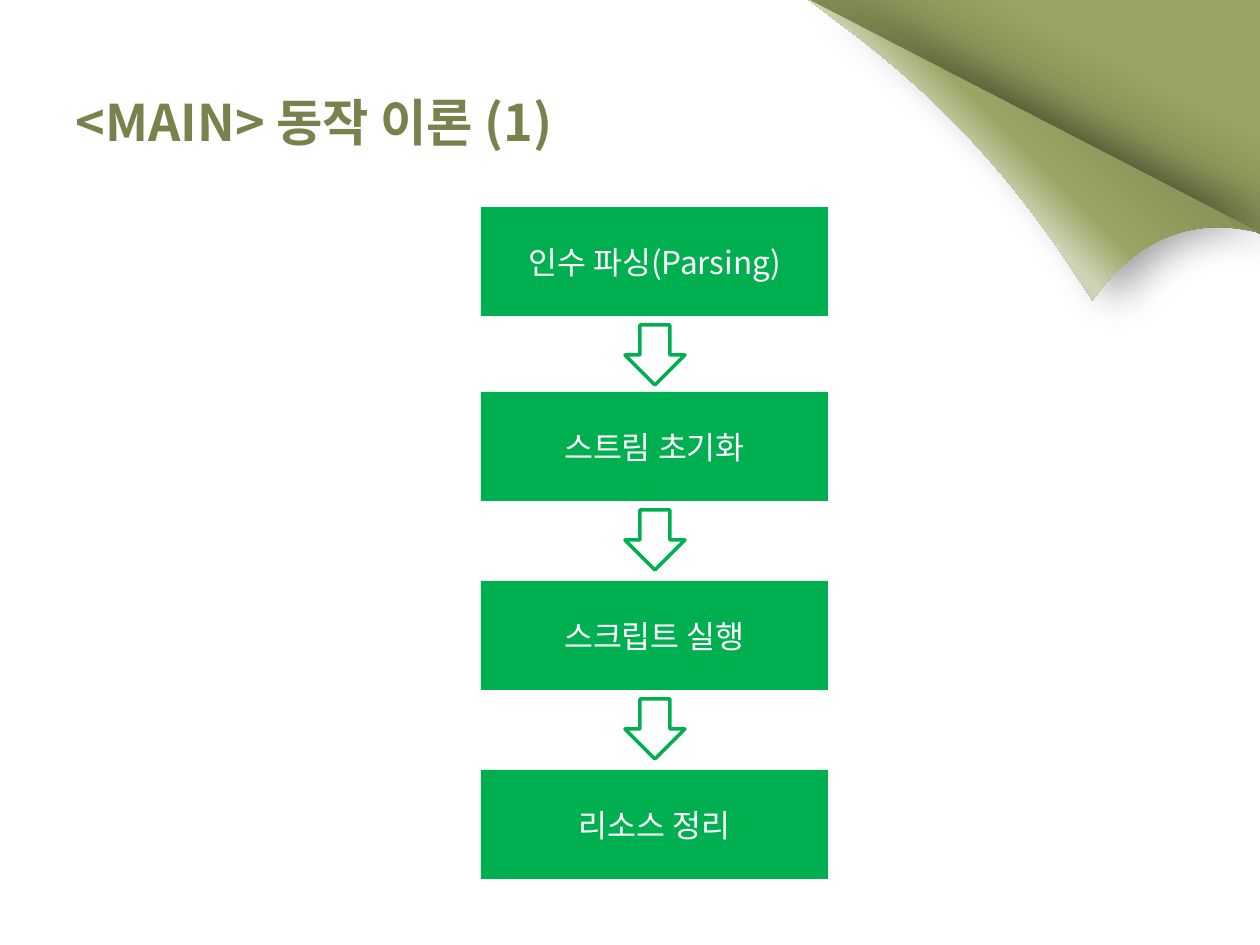
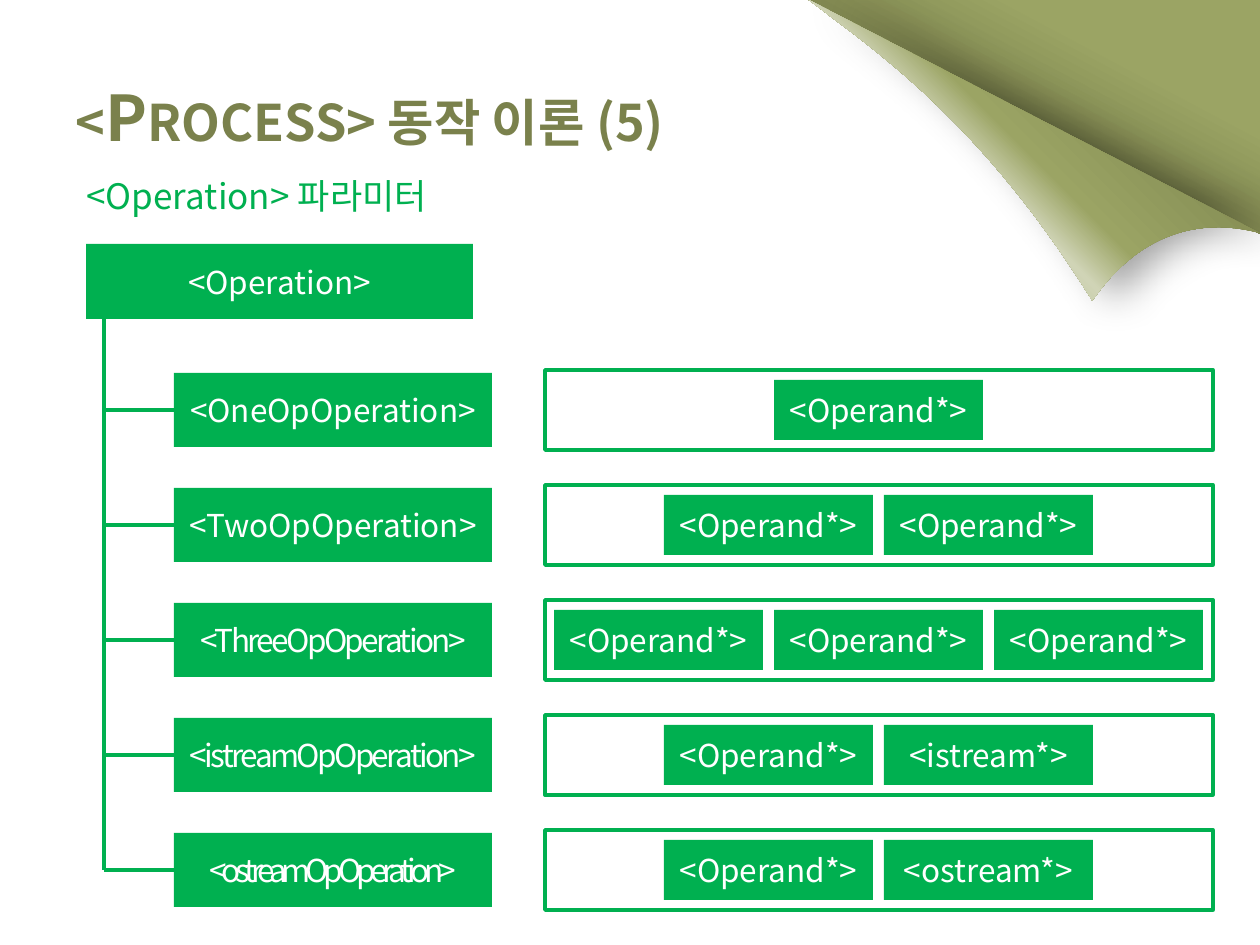
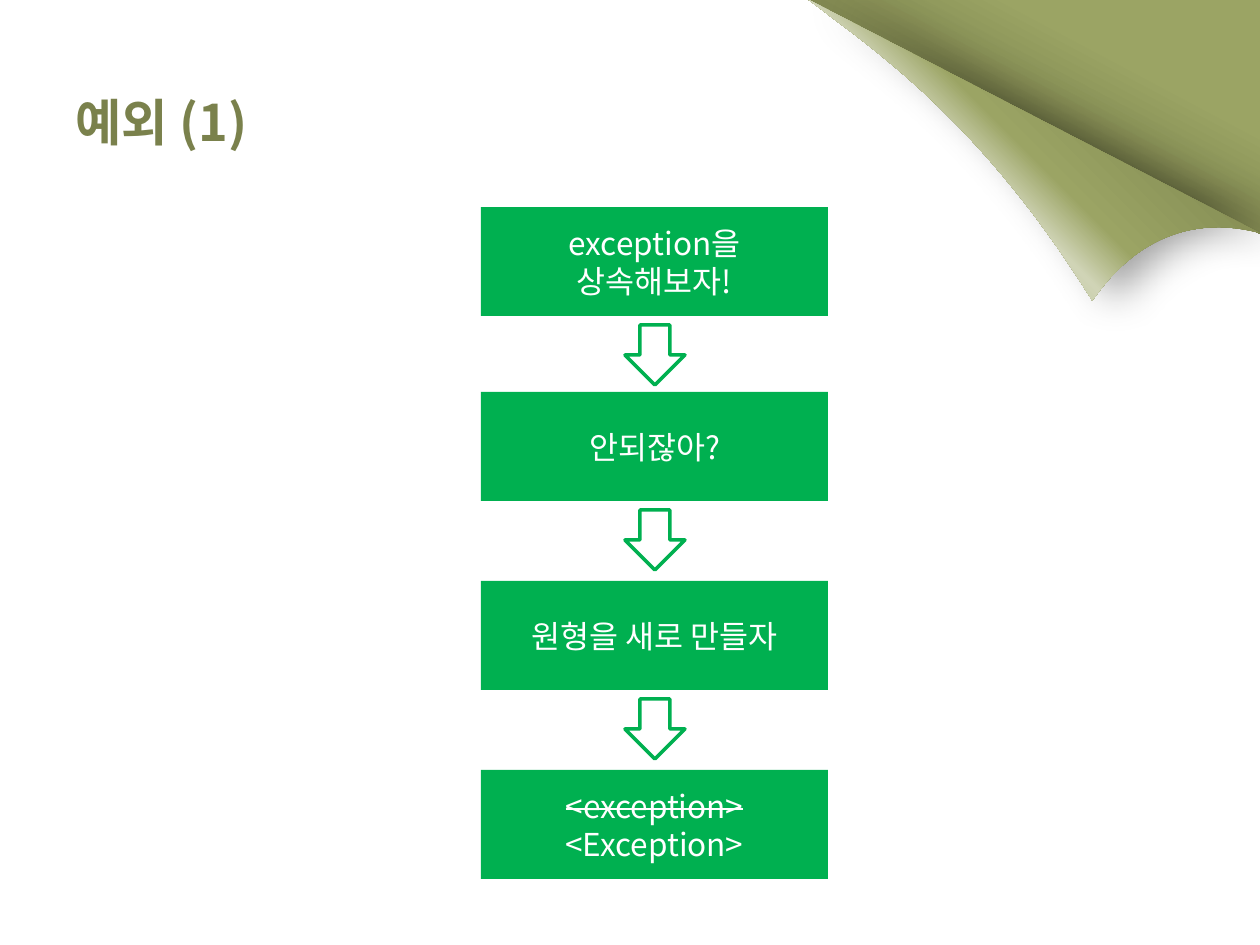
import lxml.etree
import pptx
import pptx.dml.color
import pptx.enum.shapes
import pptx.enum.text
import pptx.oxml.ns
import pptx.util

EMU_PER_PX = 914400 / 126
FONT = "Noto Sans CJK KR"
GREEN = "00B050"
WHITE = "FFFFFF"
OLIVE = "9BA464"
DARK_OLIVE = "7A814C"
PALE_OLIVE = "D0D4B6"

SHAPES = pptx.enum.shapes.MSO_SHAPE
ALIGN = pptx.enum.text.PP_ALIGN
ANCHOR = pptx.enum.text.MSO_ANCHOR
TITLE_ONLY_LAYOUT = 5


def px(length):
    return pptx.util.Emu(round(length * EMU_PER_PX))


def color(hex_string):
    return pptx.dml.color.RGBColor.from_string(hex_string)


def add_xml(parent, tag, **attributes):
    element = lxml.etree.SubElement(parent, pptx.oxml.ns.qn(tag))
    for name, value in attributes.items():
        element.set(name, str(value))
    return element


def add_run(paragraph, text, size, hex_string, bold=False, **attributes):
    """Add a run; attributes go to its properties (cap, spc, strike)."""
    run = paragraph.add_run()
    run.text = text
    run.font.size = pptx.util.Pt(size)
    run.font.bold = bold
    run.font.color.rgb = color(hex_string)
    run.font.name = FONT
    properties = run._r.get_or_add_rPr()
    add_xml(properties, "a:ea", typeface=FONT)
    for name, value in attributes.items():
        properties.set(name, str(value))


# Shared slide parts

def set_gradient(shape, stops, clockwise_angle):
    shape.fill.gradient()
    shape.fill.gradient_angle = (360 - clockwise_angle) % 360
    stop_list = shape.element.spPr.find(".//" + pptx.oxml.ns.qn("a:gsLst"))
    for old_stop in list(stop_list):
        stop_list.remove(old_stop)
    for percent, hex_string in stops:
        stop = add_xml(stop_list, "a:gs", pos=percent * 1000)
        add_xml(stop, "a:srgbClr", val=hex_string)


def add_soft_shadow(shape):
    effects = shape.element.spPr.find(pptx.oxml.ns.qn("a:effectLst"))
    shadow = add_xml(effects, "a:outerShdw", blurRad=pptx.util.Pt(24),
                     dist=pptx.util.Pt(13), dir=0, algn="ctr", rotWithShape=0)
    shade = add_xml(shadow, "a:srgbClr", val="000000")
    add_xml(shade, "a:alpha", val=39000)


def curve_points(start, control_1, control_2, end, steps=40):
    """Points along a cubic curve, without its start."""
    points = []
    for step in range(1, steps + 1):
        t = step / steps
        weights = ((1 - t) ** 3, 3 * t * (1 - t) ** 2, 3 * t * t * (1 - t), t ** 3)
        corners = (start, control_1, control_2, end)
        points.append(tuple(
            px(sum(weight * corner[axis] for weight, corner in zip(weights, corners)))
            for axis in (0, 1)))
    return points


def add_page_curl(slide):
    backing = slide.shapes.add_shape(
        SHAPES.RIGHT_TRIANGLE, px(809), 0, px(451), px(234))
    backing.rotation = 180
    set_gradient(backing, [(0, OLIVE), (28, OLIVE), (57, DARK_OLIVE),
                           (86, DARK_OLIVE), (100, DARK_OLIVE)], 298)

    tip, fold_left, fold_right = (1092, 300), (809, 0), (1260, 233)
    builder = slide.shapes.build_freeform(px(tip[0]), px(tip[1]))
    builder.add_line_segments(
        curve_points(tip, (979, 118), (871, 48), fold_left)
        + [(px(fold_right[0]), px(fold_right[1]))]
        + curve_points(fold_right, (1144, 202), (1092, 306), tip), close=True)
    flap = builder.convert_to_shape()
    set_gradient(flap, [(0, DARK_OLIVE), (16, DARK_OLIVE), (51, OLIVE),
                        (60, PALE_OLIVE), (90, OLIVE), (100, DARK_OLIVE)], 135)
    for shape in (backing, flap):
        shape.line.fill.background()
        shape.shadow.inherit = False
    add_soft_shadow(flap)


def add_titled_slide(presentation, title_text):
    slide = presentation.slides.add_slide(
        presentation.slide_layouts[TITLE_ONLY_LAYOUT])
    add_page_curl(slide)
    title = slide.shapes.title
    title.left, title.top, title.width, title.height = px(63), px(38), px(864), px(157)
    frame = title.text_frame
    frame.auto_size = pptx.enum.text.MSO_AUTO_SIZE.NONE
    frame.vertical_anchor = ANCHOR.MIDDLE
    paragraph = frame.paragraphs[0]
    paragraph.alignment = ALIGN.LEFT
    add_run(paragraph, title_text, 36, DARK_OLIVE, bold=True, cap="small")
    return slide


# Diagram elements

def add_box(slide, left, top, width, height, lines, **attributes):
    """Add a green box; each line is a text or a (text, run attributes) pair."""
    box = slide.shapes.add_shape(
        SHAPES.RECTANGLE, px(left), px(top), px(width), px(height))
    box.shadow.inherit = False
    box.fill.solid()
    box.fill.fore_color.rgb = color(GREEN)
    box.line.fill.background()
    frame = box.text_frame
    frame.word_wrap = True
    frame.vertical_anchor = ANCHOR.MIDDLE
    for index, line in enumerate(lines):
        text, line_attributes = (line, attributes) if isinstance(line, str) else line
        paragraph = frame.add_paragraph() if index else frame.paragraphs[0]
        paragraph.alignment = ALIGN.CENTER
        add_run(paragraph, text, 18, WHITE, **line_attributes)
    return box


def add_outline(slide, preset, left, top, width, height):
    outline = slide.shapes.add_shape(preset, px(left), px(top), px(width), px(height))
    outline.shadow.inherit = False
    outline.fill.background()
    outline.line.color.rgb = color(GREEN)
    outline.line.width = pptx.util.Pt(2)


def add_line(slide, start_x, start_y, end_x, end_y):
    line = slide.shapes.add_connector(
        pptx.enum.shapes.MSO_CONNECTOR.STRAIGHT,
        px(start_x), px(start_y), px(end_x), px(end_y))
    line.line.color.rgb = color(GREEN)
    line.line.width = pptx.util.Pt(2.25)
    add_xml(line.element.spPr, "a:effectLst")
    return line


def add_subtitle(slide, text):
    box = slide.shapes.add_textbox(px(74), px(168), px(387), px(55))
    box.text_frame.word_wrap = True
    add_run(box.text_frame.paragraphs[0], text, 20, GREEN)


def add_flow(slide, steps):
    """Stack four steps with an arrow after each but the last."""
    tops = (207, 392, 581, 770)
    for top, lines in zip(tops, steps):
        add_box(slide, 481, top, 347, 109, lines)
        if top != tops[-1]:
            add_outline(slide, SHAPES.DOWN_ARROW, 625, top + 118, 60, 60)


def add_operation_tree(slide, root_name, operations):
    """Draw the root, its operations and the parameters of each."""
    trunk_x, first_top, pitch, row_height = 104, 373, 115, 74
    frame_left, frame_width = 545, 668
    operand_width, operand_gap = 209, 11
    add_box(slide, 86, 244, 387, 75, [root_name])
    last_middle = first_top + (len(operations) - 1) * pitch + row_height // 2
    add_line(slide, trunk_x, 319, trunk_x, last_middle)

    for row, (name, spacing, parameters) in enumerate(operations):
        top = first_top + row * pitch
        middle = top + row_height // 2
        box = add_box(slide, 174, top, 318, row_height, [name], spc=spacing)
        branch = add_line(slide, 174, middle, trunk_x, middle)
        branch.begin_connect(box, 1)

        add_outline(slide, SHAPES.RECTANGLE, frame_left, top - 3, frame_width, 80)
        operand_pitch = operand_width + operand_gap
        group_width = len(parameters) * operand_pitch - operand_gap
        group_left = frame_left + (frame_width - group_width) // 2
        for column, parameter in enumerate(parameters):
            add_box(slide, group_left + column * operand_pitch, top + 7,
                    operand_width, 60, [parameter])


def main():
    presentation = pptx.Presentation()
    presentation.slide_width = px(1260)
    presentation.slide_height = px(945)

    # Main flow
    slide = add_titled_slide(presentation, "<main> 동작 이론 (1)")
    add_flow(slide, [["인수 파싱(Parsing)"], ["스트림 초기화"],
                     ["스크립트 실행"], ["리소스 정리"]])

    # Operation parameters
    slide = add_titled_slide(presentation, "<Process> 동작 이론 (5)")
    add_subtitle(slide, "<Operation> 파라미터")
    operand = "<Operand*>"
    add_operation_tree(slide, "<Operation>", [
        ("<OneOpOperation>", 0, [operand]),
        ("<TwoOpOperation>", 0, [operand] * 2),
        ("<ThreeOpOperation>", -150, [operand] * 3),
        ("<istreamOpOperation>", -150, [operand, "<istream*>"]),
        ("<ostreamOpOperation>", -300, [operand, "<ostream*>"]),
    ])

    # Exceptions
    slide = add_titled_slide(presentation, "예외 (1)")
    add_flow(slide, [["exception을 상속해보자!"], ["안되잖아?"], ["원형을 새로 만들자"],
                     [("<exception>", {"strike": "sngStrike"}), "<Exception>"]])

    presentation.save("out.pptx")


if __name__ == "__main__":
    main()
